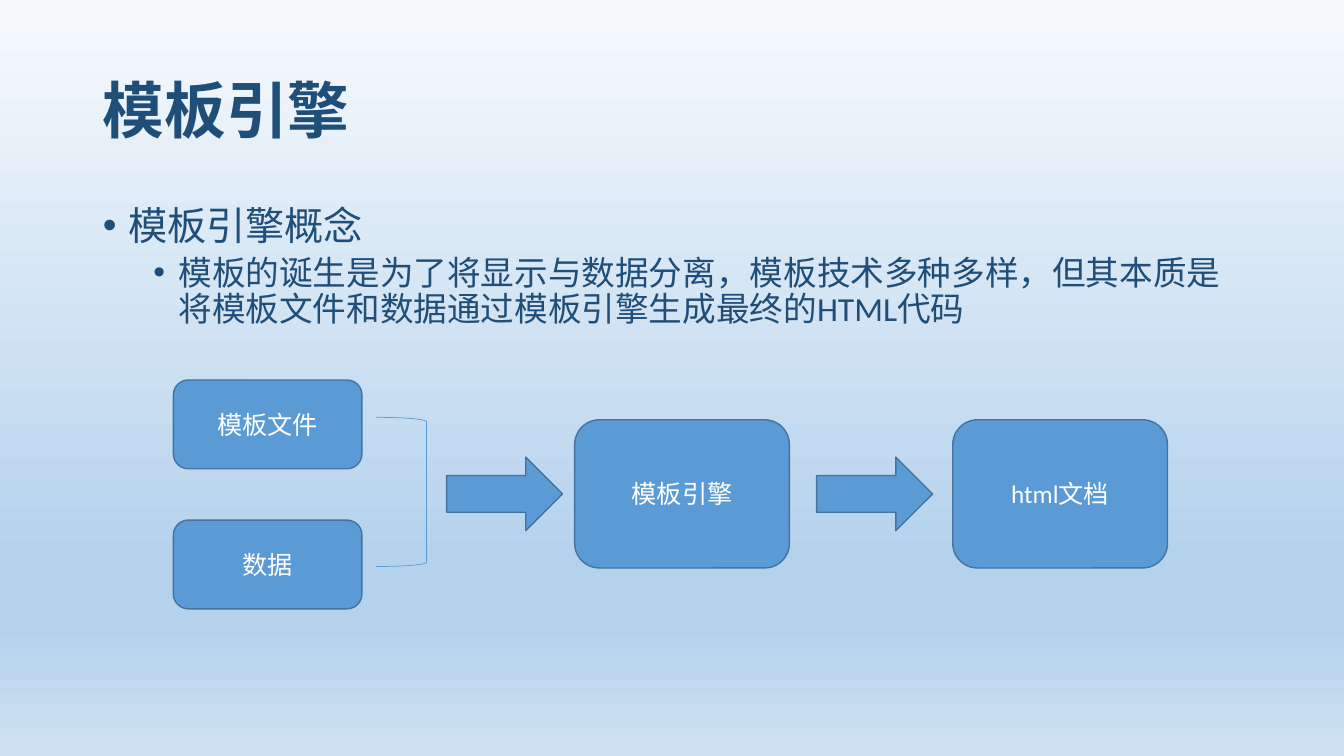
from lxml.etree import SubElement
from pptx import Presentation
from pptx.dml.color import RGBColor
from pptx.enum.shapes import MSO_SHAPE
from pptx.enum.text import MSO_ANCHOR, MSO_AUTO_SIZE, PP_ALIGN
from pptx.oxml.ns import qn
from pptx.util import Inches, Pt

NAVY, BLUE, EDGE, WHITE = "1F4E79", "5B9BD5", "43739E", "FFFFFF"
BACKGROUND_STOPS = [(0, "F7FAFD"), (74, "B5D2EC"), (83, "B5D2EC"), (100, "CEE1F2")]
FLOW_MIDDLE = 4.9


def color(hex_value):
    return RGBColor.from_string(hex_value)


def apply_format(target, values):
    for name, value in values.items():
        setattr(target, name, value)


def write(para, text, size, hex_value, bold=False):
    span = para.add_run()
    span.text = text
    apply_format(span.font, {"name": "Calibri", "size": Pt(size), "bold": bold})
    span.font.color.rgb = color(hex_value)


def paint_background(page):
    fill = page.background.fill
    fill.gradient()
    fill.gradient_angle = 270
    stop_list = next(page.background._cSld.iter(qn("a:gsLst")))
    for stop in list(stop_list):
        stop_list.remove(stop)
    for percent, hex_value in BACKGROUND_STOPS:
        stop = SubElement(stop_list, qn("a:gs"), pos=str(percent * 1000))
        SubElement(stop, qn("a:srgbClr"), val=hex_value)


def place(holder, left, top, width, height, anchor):
    apply_format(holder, {"left": Inches(left), "top": Inches(top),
                          "width": Inches(width), "height": Inches(height)})
    apply_format(holder.text_frame, {"word_wrap": True, "vertical_anchor": anchor,
                                     "auto_size": MSO_AUTO_SIZE.NONE})
    return holder.text_frame


def format_bullet(para, level, margin, before):
    apply_format(para, {"level": level, "line_spacing": 0.9, "space_before": Pt(before)})
    properties = para._p.get_or_add_pPr()
    properties.set("marL", str(Inches(margin)))
    properties.set("indent", str(Inches(-0.25)))
    SubElement(properties, qn("a:buFont"), typeface="Arial")
    SubElement(properties, qn("a:buChar"), char="•")


def add_block(page, kind, left, top, width, height, text=""):
    block = page.shapes.add_shape(kind, Inches(left), Inches(top),
                                  Inches(width), Inches(height))
    block.shadow.inherit = False
    block.fill.solid()
    block.fill.fore_color.rgb = color(BLUE)
    block.line.color.rgb = color(EDGE)
    block.line.width = Pt(1)
    if text:
        block.text_frame.vertical_anchor = MSO_ANCHOR.MIDDLE
        para = block.text_frame.paragraphs[0]
        para.alignment = PP_ALIGN.CENTER
        write(para, text, 18, WHITE)
    return block


def add_bracket(page, left, top, width, height):
    bracket = add_block(page, MSO_SHAPE.RIGHT_BRACKET, left, top, width, height)
    bracket.fill.background()
    bracket.line.color.rgb = color(BLUE)
    bracket.line.width = Pt(0.5)


def main():
    deck = Presentation()
    apply_format(deck, {"slide_width": Inches(13.33), "slide_height": Inches(7.5)})
    page = deck.slides.add_slide(deck.slide_layouts[1])
    paint_background(page)

    # Title and bullets
    title = place(page.shapes.title, 0.92, 0.4, 11.5, 1.45, MSO_ANCHOR.MIDDLE)
    heading = title.paragraphs[0]
    apply_format(heading, {"alignment": PP_ALIGN.LEFT, "line_spacing": 0.9})
    write(heading, "模板引擎", 44, NAVY, bold=True)

    body = place(page.placeholders[1], 0.92, 2, 11.5, 4.76, MSO_ANCHOR.TOP)
    concept, detail = body.paragraphs[0], body.add_paragraph()
    format_bullet(concept, 0, 0.25, 10)
    write(concept, "模板引擎概念", 28, NAVY)
    format_bullet(detail, 1, 0.75, 5)
    write(detail, "模板的诞生是为了将显示与数据分离，模板技术多种多样，但其本质是"
                  "将模板文件和数据通过模板引擎生成最终的HTML代码", 24, NAVY)

    # Inputs joined by a bracket
    for top, text in [(3.77, "模板文件"), (5.16, "数据")]:
        add_block(page, MSO_SHAPE.ROUNDED_RECTANGLE, 1.72, top, 1.87, 0.88, text)
    add_bracket(page, 3.73, 4.14, 0.5, 1.48)

    # Arrow and box for each following stage
    for arrow_left, box_left, text in [(4.43, 5.7, "模板引擎"), (8.1, 9.45, "html文档")]:
        add_block(page, MSO_SHAPE.RIGHT_ARROW, arrow_left, FLOW_MIDDLE - 0.73 / 2, 1.15, 0.73)
        add_block(page, MSO_SHAPE.ROUNDED_RECTANGLE, box_left, FLOW_MIDDLE - 1.47 / 2,
                  2.13, 1.47, text)

    deck.save("out.pptx")


main()
